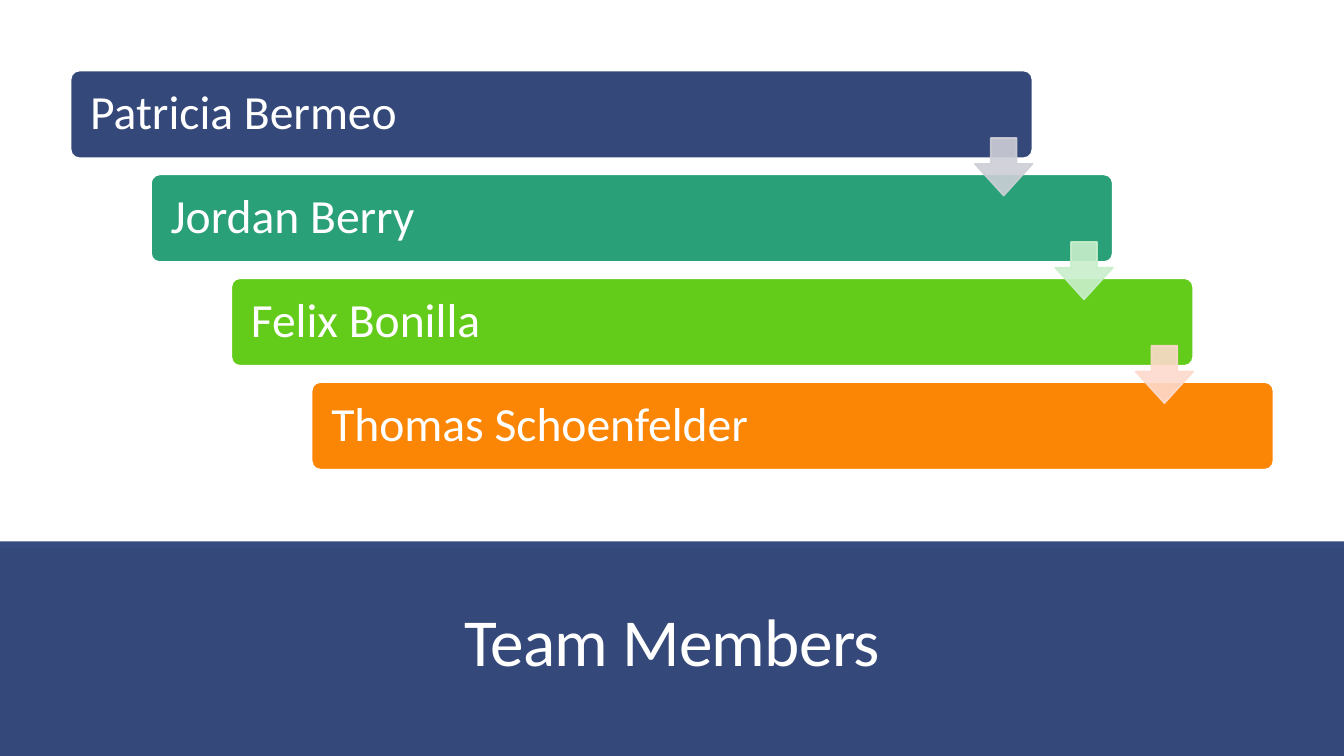
from lxml import etree
from pptx import Presentation
from pptx.dml.color import RGBColor
from pptx.enum.shapes import MSO_SHAPE
from pptx.enum.text import MSO_ANCHOR, MSO_AUTO_SIZE, PP_ALIGN
from pptx.oxml.ns import qn
from pptx.util import Inches, Pt

RECTANGLE = MSO_SHAPE.RECTANGLE
ROUNDED = MSO_SHAPE.ROUNDED_RECTANGLE
DOWN_ARROW = MSO_SHAPE.DOWN_ARROW

WIDTH, HEIGHT = 13.33, 7.5
BAR_LEFT, BAR_TOP, BAR_WIDTH, BAR_HEIGHT = 0.7, 0.7, 9.54, 0.87
STEP_X, STEP_Y = 0.797, 1.03
ARROW_SIZE = 0.57
MEMBERS = [
    ("Patricia Bermeo", "34487A"),
    ("Jordan Berry", "29A077"),
    ("Felix Bonilla", "63CB19"),
    ("Thomas Schoenfelder", "FB8605"),
]
ARROW_COLORS = ["CECFD7", "C9EECB", "FDDACC"]


def add_block(kind, left, top, width, height, fill, line=None, adjustments=(), opacity=100):
    shape = slide.shapes.add_shape(
        kind, Inches(left), Inches(top), Inches(width), Inches(height))
    shape.shadow.inherit = False
    shape.fill.solid()
    shape.fill.fore_color.rgb = RGBColor.from_string(fill)
    if line:
        shape.line.color.rgb = RGBColor.from_string(line)
        shape.line.width = Pt(1.25)
    else:
        shape.line.fill.background()
    for index, value in enumerate(adjustments):
        shape.adjustments[index] = value
    if opacity < 100:
        for color in shape.element.spPr.iter(qn("a:srgbClr")):
            etree.SubElement(color, qn("a:alpha"), val=str(opacity * 1000))
    return shape


def write_text(shape, text, size, align, anchor, spacing, inset=None):
    frame = shape.text_frame
    frame.text = text
    frame.word_wrap = True
    frame.auto_size = MSO_AUTO_SIZE.NONE
    frame.vertical_anchor = anchor
    if inset is not None:
        frame.margin_left = frame.margin_right = Inches(inset)
    paragraph = frame.paragraphs[0]
    paragraph.alignment = align
    paragraph.line_spacing = spacing
    font = paragraph.runs[0].font
    font.name = "Calibri"
    font.size = Pt(size)
    font.color.rgb = RGBColor.from_string("FFFFFF")


presentation = Presentation()
presentation.slide_width = Inches(WIDTH)
presentation.slide_height = Inches(HEIGHT)
slide = presentation.slides.add_slide(presentation.slide_layouts[5])

# Title band
add_block(RECTANGLE, 0, 5.42, WIDTH, HEIGHT - 5.42, "34487A")
title = slide.shapes.title
title.left, title.top = Inches(1.17), Inches(5.67)
title.width, title.height = Inches(11), Inches(1.13)
write_text(title, "Team Members", 48, PP_ALIGN.CENTER, MSO_ANCHOR.BOTTOM, 0.85)
title.text_frame.paragraphs[0].runs[0].font._element.set("spc", "-50")
title.element.getparent().append(title.element)  # bring the title in front of the band
add_block(RECTANGLE, 0, 5.37, WIDTH, 0.07, "374C81")

# Staircase of member bars
for step, (name, color) in enumerate(MEMBERS):
    bar = add_block(ROUNDED, BAR_LEFT + step * STEP_X, BAR_TOP + step * STEP_Y,
                    BAR_WIDTH, BAR_HEIGHT, color, line="FFFFFF", adjustments=[0.1])
    write_text(bar, name, 34, PP_ALIGN.LEFT, MSO_ANCHOR.MIDDLE, 0.9, inset=0.17)

# Arrows end flush with the right side of the bar they leave
for step, color in enumerate(ARROW_COLORS):
    add_block(DOWN_ARROW, BAR_LEFT + BAR_WIDTH - ARROW_SIZE + step * STEP_X,
              1.37 + step * STEP_Y, ARROW_SIZE, ARROW_SIZE, color,
              line=color, adjustments=[0.45, 0.55], opacity=90)

presentation.save("out.pptx")
